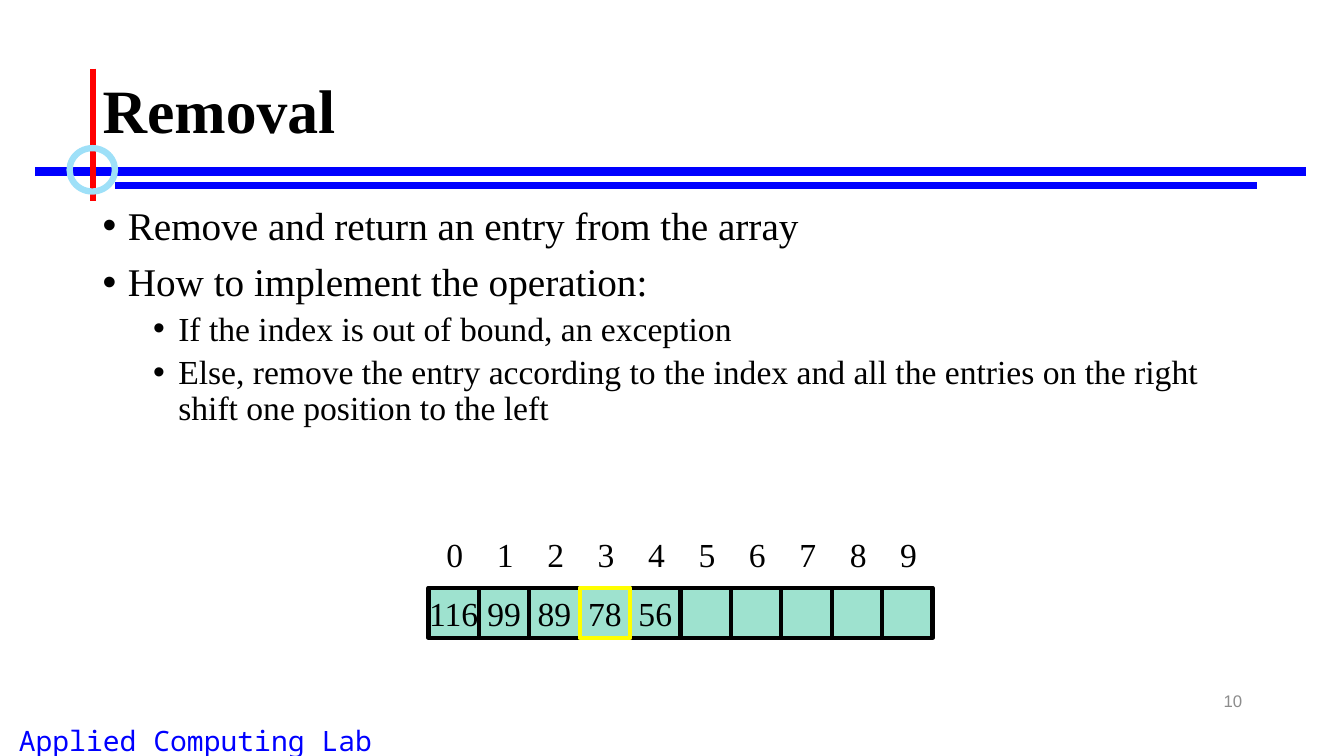
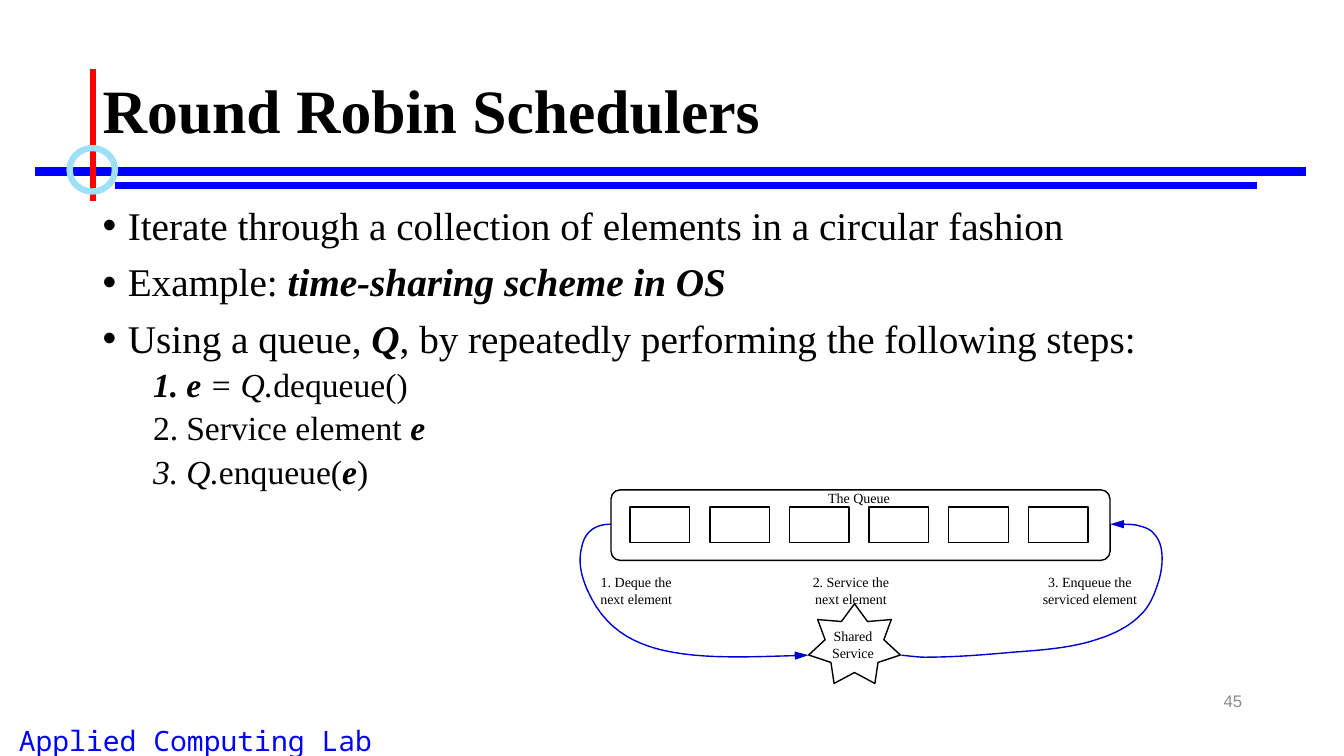
from dataclasses import dataclass
from typing import NamedTuple

from lxml import etree
from pptx import Presentation, util as u
from pptx.dml.color import RGBColor
from pptx.enum import shapes as es, text as et
from pptx.oxml.ns import qn
from pptx.slide import Slide

BLACK, WHITE, BLUE, RED = "000000", "FFFFFF", "0000FF", "FF0000"
SKY, MINT, YELLOW, NAVY, GREY = "9EE0F8", "9EE2CF", "FFFF00", "0000CC", "8C8C8C"
SERIF, MONO, SANS = "Times New Roman", "Noto Sans Mono", "Arial"
LEFT, MID, RIGHT = et.PP_ALIGN.LEFT, et.PP_ALIGN.CENTER, et.PP_ALIGN.RIGHT
KIND = es.MSO_SHAPE
Point = tuple[float, float]


class Run(NamedTuple):
    text: str
    bold: bool = False
    slant: bool = False


class Box(NamedTuple):
    x: float
    y: float
    w: float
    h: float

    def emu(self) -> list[int]:
        return [u.Inches(v) for v in self]


class Rule(NamedTuple):
    start: Point
    end: Point
    color: str
    width: float


@dataclass
class Font:
    size: float
    name: str = SERIF
    color: str = BLACK


@dataclass
class Item:
    runs: list[Run]
    level: int = 0
    count: bool = False


@dataclass
class Label:
    lines: list[str]
    mid: float
    top: float


@dataclass
class Curve:
    start: Point
    bends: list[tuple[Point, Point, Point]]


RULES = [
    Rule((0.35, 1.7), (12.95, 1.7), BLUE, 6),
    Rule((1.14, 1.84), (12.47, 1.84), BLUE, 4.5),
    Rule((0.92, 0.68), (0.92, 1.99), RED, 4.5),
]


# Basic drawing
def rgb(code: str) -> RGBColor:
    return RGBColor.from_string(code)


def add_runs(para, runs: list[Run], font: Font) -> None:
    for piece in runs:
        run = para.add_run()
        run.text = piece.text
        run.font.size = u.Pt(font.size)
        run.font.name = font.name
        run.font.color.rgb = rgb(font.color)
        run.font.bold, run.font.italic = piece.bold, piece.slant


def add_text(slide: Slide, box: Box, lines: list[list[Run]], font: Font,
             align=LEFT, wrap: bool = True, middle: bool = False,
             inset: bool = True, space: float = 1.0) -> None:
    frame = slide.shapes.add_textbox(*box.emu()).text_frame
    frame.word_wrap = wrap
    if middle:
        frame.vertical_anchor = et.MSO_ANCHOR.MIDDLE
    if not inset:
        frame.margin_left = frame.margin_right = 0
        frame.margin_top = frame.margin_bottom = 0
    for i, runs in enumerate(lines):
        para = frame.add_paragraph() if i else frame.paragraphs[0]
        para.alignment, para.line_spacing = align, space
        add_runs(para, runs, font)


def paint(shape, fill: str | None, line: str, width: float) -> None:
    shape.shadow.inherit = False
    if fill:
        shape.fill.solid()
        shape.fill.fore_color.rgb = rgb(fill)
    else:
        shape.fill.background()
    shape.line.color.rgb = rgb(line)
    shape.line.width = u.Pt(width)


def add_shape(slide: Slide, kind, box: Box, fill: str | None, line: str,
              width: float, bend: float | None = None):
    shape = slide.shapes.add_shape(kind, *box.emu())
    paint(shape, fill, line, width)
    if bend is not None:
        shape.adjustments[0] = bend
    return shape


def add_rule(slide: Slide, rule: Rule) -> None:
    ends = [u.Inches(v) for v in (*rule.start, *rule.end)]
    line = slide.shapes.add_connector(es.MSO_CONNECTOR.STRAIGHT, *ends)
    line.line.color.rgb = rgb(rule.color)
    line.line.width = u.Pt(rule.width)
    etree.SubElement(line.element.spPr, qn("a:effectLst"))


def add_curve(slide: Slide, curve: Curve, steps: int = 12) -> None:
    """Draw joined cubic curves with an arrowhead at the end."""
    spots, last = [], curve.start
    for one, two, end in curve.bends:
        for t in (k / steps for k in range(1, steps + 1)):
            s = 1 - t
            spots.append(tuple(
                u.Inches(s**3 * a + 3 * s * s * t * b + 3 * s * t * t * c + t**3 * d)
                for a, b, c, d in zip(last, one, two, end)))
        last = end
    pen = slide.shapes.build_freeform(*(u.Inches(v) for v in curve.start))
    pen.add_line_segments(spots, close=False)
    shape = pen.convert_to_shape()
    paint(shape, None, NAVY, 1)
    etree.SubElement(shape.element.spPr.get_or_add_ln(), qn("a:tailEnd"),
                     type="triangle", w="med", len="lg")


# Shared slide elements
def add_slide(deck, title: str, page: int) -> Slide:
    slide = deck.slides.add_slide(deck.slide_layouts[6])
    add_text(slide, Box(-0.58, 7.13, 5.04, 0.43), [[Run("Applied Computing Lab")]],
             Font(20, MONO, BLUE), MID)
    for rule in RULES:
        add_rule(slide, rule)
    add_shape(slide, KIND.OVAL, Box(0.69, 1.47, 0.45, 0.43), None, SKY, 4.5)
    add_text(slide, Box(9.42, 6.75, 3, 0.4), [[Run(str(page))]],
             Font(12, SANS, GREY), RIGHT, middle=True)
    add_text(slide, Box(0.92, 0.4, 11.5, 1.45), [[Run(title, True)]],
             Font(44), middle=True, space=0.9)
    return slide


def add_list(slide: Slide, items: list[Item]) -> None:
    frame = slide.shapes.add_textbox(*Box(0.92, 2, 11.5, 4.76).emu()).text_frame
    frame.word_wrap = True
    for i, item in enumerate(items):
        para = frame.add_paragraph() if i else frame.paragraphs[0]
        para.level, para.line_spacing = item.level, 0.9
        para.space_before = u.Pt(5 if item.level else 10)
        hang = 0.33 if item.count else 0.25
        props = para._p.get_or_add_pPr()
        props.set("marL", str(u.Inches(0.5 * item.level + hang)))
        props.set("indent", str(u.Inches(-hang)))
        if item.count:
            etree.SubElement(props, qn("a:buFont"), typeface=SERIF)
            etree.SubElement(props, qn("a:buAutoNum"), type="arabicPeriod")
        else:
            etree.SubElement(props, qn("a:buFont"), typeface=SANS)
            etree.SubElement(props, qn("a:buChar"), char="•")
        add_runs(para, item.runs, Font(24 if item.level else 28))


# Slide with the array
def draw_array(slide: Slide, values: list[str], size: int, chosen: int) -> None:
    side, left, top = 0.5, 4.25, 5.83
    cells = [Box(left + side * i, top, side, side) for i in range(size)]
    for i, cell in enumerate(cells):
        shape = add_shape(slide, KIND.RECTANGLE, cell, MINT, BLACK, 3)
        if i < len(values):
            frame = shape.text_frame
            frame.word_wrap = False
            frame.vertical_anchor = et.MSO_ANCHOR.MIDDLE
            frame.paragraphs[0].alignment = MID
            add_runs(frame.paragraphs[0], [Run(values[i])], Font(24))
        add_text(slide, Box(cell.x + 0.08, 5.25, 0.37, 0.5), [[Run(str(i))]],
                 Font(24), wrap=False)
    add_shape(slide, KIND.RECTANGLE, cells[chosen], None, YELLOW, 3)


def removal(deck) -> None:
    slide = add_slide(deck, "Removal", 10)
    add_list(slide, [
        Item([Run("Remove and return an entry from the array")]),
        Item([Run("How to implement the operation:")]),
        Item([Run("If the index is out of bound, an exception")], 1),
        Item([Run("Else, remove the entry according to the index and all the "
                  "entries on the right shift one position to the left")], 1),
    ])
    draw_array(slide, ["116", "99", "89", "78", "56"], 10, 3)


# Slide with the queue
LABELS = [
    Label(["The Queue"], 8.52, 4.86),
    Label(["Shared", "Service"], 8.46, 6.23),
    Label(["1. Deque the", "next element"], 6.31, 5.69),
    Label(["2. Service the", "next element"], 8.44, 5.69),
    Label(["3. Enqueue the", "serviced element"], 10.81, 5.69),
]
CURVES = [
    Curve((6.06, 5.2), [
        ((5.86, 5.2), (5.79, 5.32), (5.77, 5.43)),
        ((5.73, 5.58), (5.77, 5.72), (5.82, 5.84)),
        ((5.99, 6.24), (6.28, 6.38), (6.57, 6.45)),
        ((6.97, 6.54), (7.38, 6.52), (8.02, 6.5)),
    ]),
    Curve((8.94, 6.5), [
        ((9.12, 6.52), (9.15, 6.52), (9.17, 6.52)),
        ((9.44, 6.52), (9.72, 6.5), (10.05, 6.47)),
        ((10.32, 6.45), (10.63, 6.43), (10.89, 6.34)),
        ((11.08, 6.28), (11.24, 6.19), (11.35, 6.06)),
        ((11.4, 6), (11.44, 5.92), (11.47, 5.83)),
        ((11.54, 5.65), (11.56, 5.4), (11.44, 5.29)),
        ((11.41, 5.25), (11.35, 5.23), (11.31, 5.22)),
        ((11.25, 5.2), (11.2, 5.2), (11.01, 5.2)),
    ]),
]


def draw_queue(slide: Slide) -> None:
    add_shape(slide, KIND.ROUNDED_RECTANGLE, Box(6.06, 4.86, 4.95, 0.7),
              WHITE, BLACK, 1, 0.13)
    for i in range(6):
        add_shape(slide, KIND.RECTANGLE, Box(6.25 + 0.79 * i, 5.03, 0.59, 0.35),
                  WHITE, BLACK, 1)
    add_shape(slide, KIND.STAR_7_POINT, Box(8.02, 5.99, 0.91, 0.79),
              WHITE, BLACK, 1, 0.32)
    for curve in CURVES:
        add_curve(slide, curve)
    for label in LABELS:
        box = Box(label.mid - 0.5, label.top, 1, 0.17 * len(label.lines))
        add_text(slide, box, [[Run(line)] for line in label.lines],
                 Font(10), MID, inset=False)


def robin(deck) -> None:
    slide = add_slide(deck, "Round Robin Schedulers", 45)
    elem = Run("e", True, True)
    add_list(slide, [
        Item([Run("Iterate through a collection of elements in a circular fashion")]),
        Item([Run("Example: "), Run("time-sharing scheme in OS", True, True)]),
        Item([Run("Using a queue, "), Run("Q", True, True),
              Run(", by repeatedly performing the following steps:")]),
        Item([elem, Run(" = Q.", slant=True), Run("dequeue()")], 1, True),
        Item([Run("Service element "), elem], 1, True),
        Item([Run("Q.", slant=True), Run("enqueue("), elem, Run(")")], 1, True),
    ])
    draw_queue(slide)


deck = Presentation()
deck.slide_width, deck.slide_height = u.Inches(13.33), u.Inches(7.5)
removal(deck)
robin(deck)
deck.save("out.pptx")
